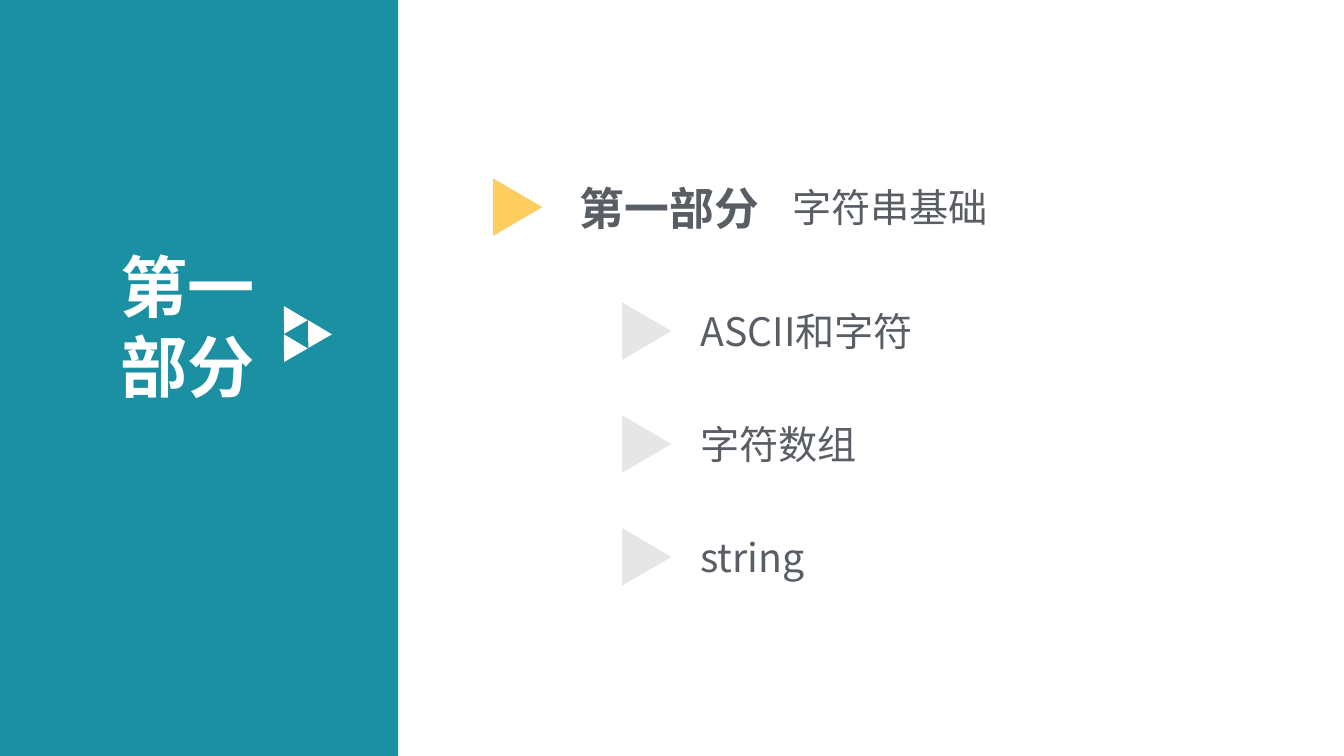
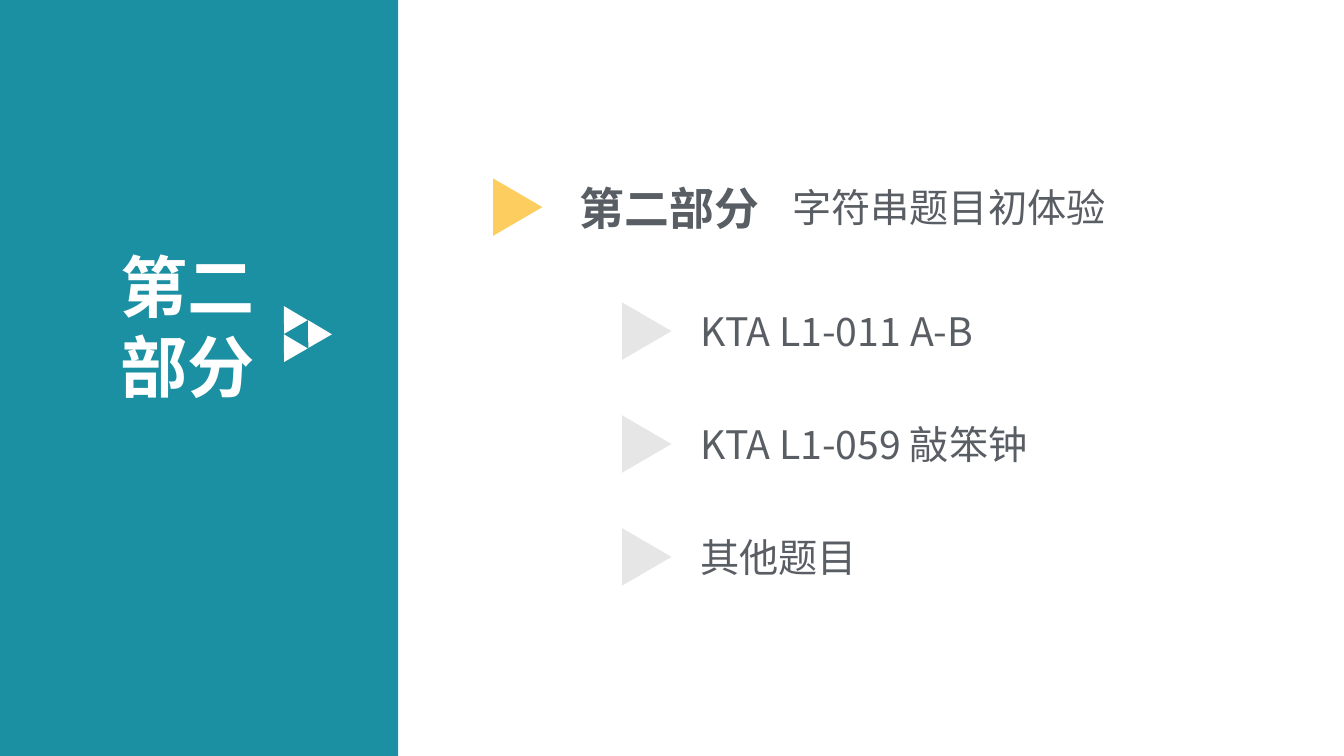
from lxml import etree
from pptx import Presentation, util as u
from pptx.dml.color import RGBColor
from pptx.enum import shapes, text
from pptx.oxml.ns import qn

PX = 9144  # EMU per px, 100 px to the inch
SLIDE_WIDTH, SLIDE_HEIGHT = 1333, 750
FONT = "Noto Sans CJK SC"
COLOURS = {
    "panel": "1B90A2",
    "accent": "FDCD5F",
    "marker": "E7E6E6",
    "ink": "595E64",
    "white": "FFFFFF",
}

SECTIONS = [
    ("第一部分", "字符串基础", ["ASCII和字符", "字符数组", "string"]),
    ("第二部分", "字符串题目初体验", ["KTA L1-011 A-B", "KTA L1-059 敲笨钟", "其他题目"]),
]

PANEL_WIDTH = 395
EMBLEM_CORNERS = [(274, 302), (274, 330), (298, 316)]
EMBLEM_SIZE = (27, 24)
MARKER_SIZE = (57, 49)
TOPIC_TOP, TOPIC_PITCH = 300, 112


def px(*lengths):
    return [u.Emu(length * PX) for length in lengths]


def colour(name):
    return RGBColor.from_string(COLOURS[name])


def add_block(slide, kind, box, fill, rotation=0):
    shape = slide.shapes.add_shape(kind, *px(*box))
    shape.shadow.inherit = False
    shape.fill.solid()
    shape.fill.fore_color.rgb = colour(fill)
    shape.line.fill.background()
    shape.rotation = rotation


def add_triangle(slide, corner, size, fill, rotation):
    add_block(slide, shapes.MSO_SHAPE.ISOSCELES_TRIANGLE, (*corner, *size), fill, rotation)


def add_text(slide, box, wording, size, ink="ink", bold=False):
    frame = slide.shapes.add_textbox(*px(*box)).text_frame
    frame.word_wrap = True
    frame.auto_size = text.MSO_AUTO_SIZE.SHAPE_TO_FIT_TEXT
    paragraph = frame.paragraphs[0]
    paragraph.text = wording
    font = paragraph.font
    font.name, font.size, font.bold = FONT, u.Pt(size), bold
    font.color.rgb = colour(ink)
    # East Asian glyphs take their typeface from a:ea
    properties = paragraph._p.pPr.find(qn("a:defRPr"))
    etree.SubElement(properties, qn("a:ea")).set("typeface", FONT)


def add_panel(slide, part):
    add_block(slide, shapes.MSO_SHAPE.RECTANGLE, (0, 0, PANEL_WIDTH, SLIDE_HEIGHT), "panel")
    add_text(slide, (110, 238, 174, 172), part, 48, "white", bold=True)
    for corner in EMBLEM_CORNERS:
        add_triangle(slide, corner, EMBLEM_SIZE, "white", 330)


def add_outline(slide, part, title, topics):
    add_triangle(slide, (485, 181), MARKER_SIZE, "accent", 90)
    add_text(slide, (565, 174, 211, 64), part, 32, bold=True)
    add_text(slide, (776, 177, 400, 57), title, 28)
    for index, topic in enumerate(topics):
        top = TOPIC_TOP + index * TOPIC_PITCH
        add_triangle(slide, (613, top + 4), MARKER_SIZE, "marker", 90)
        add_text(slide, (685, top, 400, 57), topic, 28)


def main():
    presentation = Presentation()
    presentation.slide_width, presentation.slide_height = px(SLIDE_WIDTH, SLIDE_HEIGHT)
    for part, title, topics in SECTIONS:
        slide = presentation.slides.add_slide(presentation.slide_layouts[6])
        add_panel(slide, part)
        add_outline(slide, part, title, topics)
    presentation.save("out.pptx")


if __name__ == "__main__":
    main()
